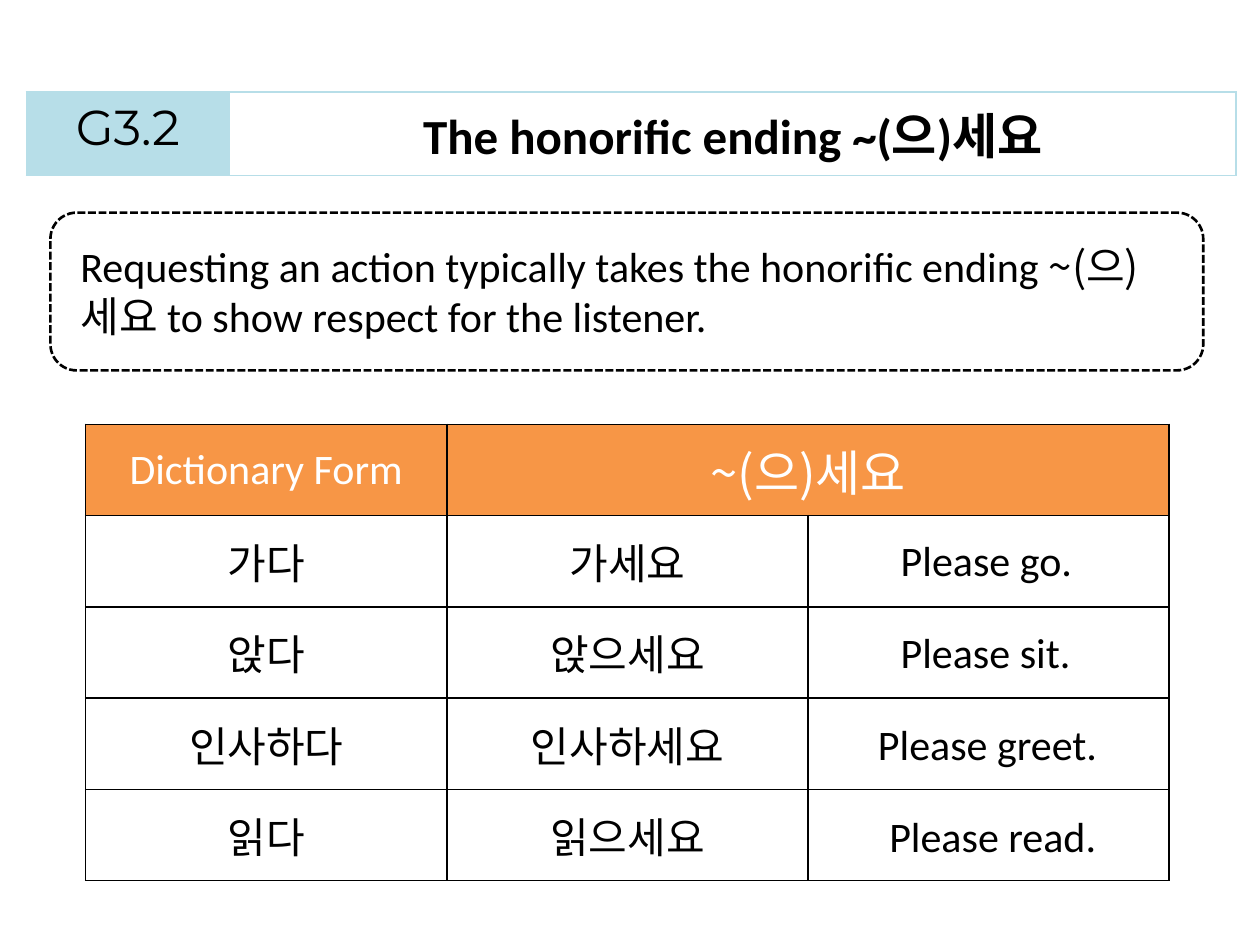
from lxml import etree
from pptx import Presentation
from pptx.dml.color import RGBColor
from pptx.enum.dml import MSO_LINE
from pptx.enum.shapes import MSO_SHAPE
from pptx.enum.text import MSO_ANCHOR, PP_ALIGN
from pptx.oxml import parse_xml
from pptx.oxml.ns import nsdecls, qn
from pptx.util import Inches, Pt

ROUND = MSO_SHAPE.ROUNDED_RECTANGLE
DASH = MSO_LINE.SQUARE_DOT
MIDDLE, TOP = MSO_ANCHOR.MIDDLE, MSO_ANCHOR.TOP
CENTER = PP_ALIGN.CENTER
LATIN, KOREAN, LABEL = "Calibri", "Noto Sans CJK KR", "Montserrat"
INK = {"black": "000000", "white": "FFFFFF", "blue": "B7DEE8", "orange": "F79646"}
RGB = {name: RGBColor.from_string(code) for name, code in INK.items()}

deck = Presentation()
deck.slide_width, deck.slide_height = Inches(10), Inches(7.5)
col, row = deck.slide_width / 100, deck.slide_height / 100
slide = deck.slides.add_slide(deck.slide_layouts[6])
shapes = slide.shapes


def style(run, face, size=24, color="black", bold=False):
    font = run.font
    font.name, font.size, font.bold = face, Pt(size), bold
    font.color.rgb = RGB[color]
    if face == KOREAN:
        etree.SubElement(run._r.get_or_add_rPr(), qn("a:ea"), typeface=face)


def dress(cell, edge, fill=None, anchor=MIDDLE):
    """Set the anchor, the four 1 pt borders and the fill of a cell."""
    cell.vertical_anchor = anchor
    props = cell._tc.get_or_add_tcPr()
    for side in ("lnL", "lnR", "lnT", "lnB"):
        props.append(parse_xml(
            f'<a:{side} {nsdecls("a")} w="12700"><a:solidFill>'
            f'<a:srgbClr val="{INK[edge]}"/></a:solidFill></a:{side}>'))
    if fill:
        cell.fill.solid()
        cell.fill.fore_color.rgb = RGB[fill]
    else:
        cell.fill.background()


# Banner
banner = shapes.add_table(1, 2, int(2.1 * col), int(9.73 * row),
                          int(96 * col), int(8.8 * row)).table
banner.first_row = banner.horz_banding = False
heads = [("G3.2", 16.1, LABEL, "blue", False),
         ("The honorific ending ~(으)세요", 79.9, LATIN, None, True)]
for i, (text, width, face, fill, bold) in enumerate(heads):
    banner.columns[i].width = int(width * col)
    cell = banner.cell(0, i)
    cell.text_frame.text = text
    para = cell.text_frame.paragraphs[0]
    para.alignment = CENTER
    style(para.runs[0], face, 28, bold=bold)
    dress(cell, "blue", fill, TOP)

# Rule in its dashed frame
note = shapes.add_textbox(int(5.4 * col), int(24.8 * row),
                          int(89.6 * col), int(12.1 * row))
note.text_frame.word_wrap = True
para = note.text_frame.paragraphs[0]
for text, face in [
        ("Requesting an action typically takes the honorific ending ", LATIN),
        ("~(으)세요 ", KOREAN),
        ("to show respect for the listener.", LATIN)]:
    run = para.add_run()
    run.text = text
    style(run, face)

frame = shapes.add_shape(ROUND, int(4 * col), int(22.5 * row),
                         int(91.5 * col), int(16.7 * row))
frame.shadow.inherit = False
frame.fill.background()
frame.line.color.rgb = RGB["black"]
frame.line.width = Pt(1.5)
frame.line.dash_style = DASH

# Verb forms
verbs = [("가다", "가세요"), ("앉다", "앉으세요"),
         ("인사하다", "인사하세요"), ("읽다", "읽으세요")]
forms = shapes.add_table(5, 3, int(6.8 * col), int(44.9 * row),
                         int(86 * col), int(48.3 * row)).table
forms.first_row = forms.horz_banding = False
forms.cell(0, 1).merge(forms.cell(0, 2))
for r, words in enumerate([("Dictionary Form", "~(으)세요")] + verbs):
    for c in range(3):
        dress(forms.cell(r, c), "black", None if r else "orange")
    for c, word in enumerate(words):
        box = forms.cell(r, c).text_frame
        box.text = word
        para = box.paragraphs[0]
        para.alignment = CENTER
        face = LATIN if r == c == 0 else KOREAN
        size = 28 if (r, c) == (0, 1) else 24
        style(para.runs[0], face, size, "black" if r else "white")

# Meanings, one over each verb row
means = [("Please go.", 70.5, 15.8), ("Please sit.", 70.5, 15.6),
         ("Please greet.", 68.7, 19.7), ("Please read.", 69.6, 18.6)]
for i, (text, left, width) in enumerate(means):
    box = shapes.add_textbox(int(left * col), int((55.9 + 9.73 * i) * row),
                             int(width * col), int(6.7 * row)).text_frame
    box.word_wrap = False
    box.text = text
    style(box.paragraphs[0].runs[0], LATIN)

deck.save("out.pptx")
